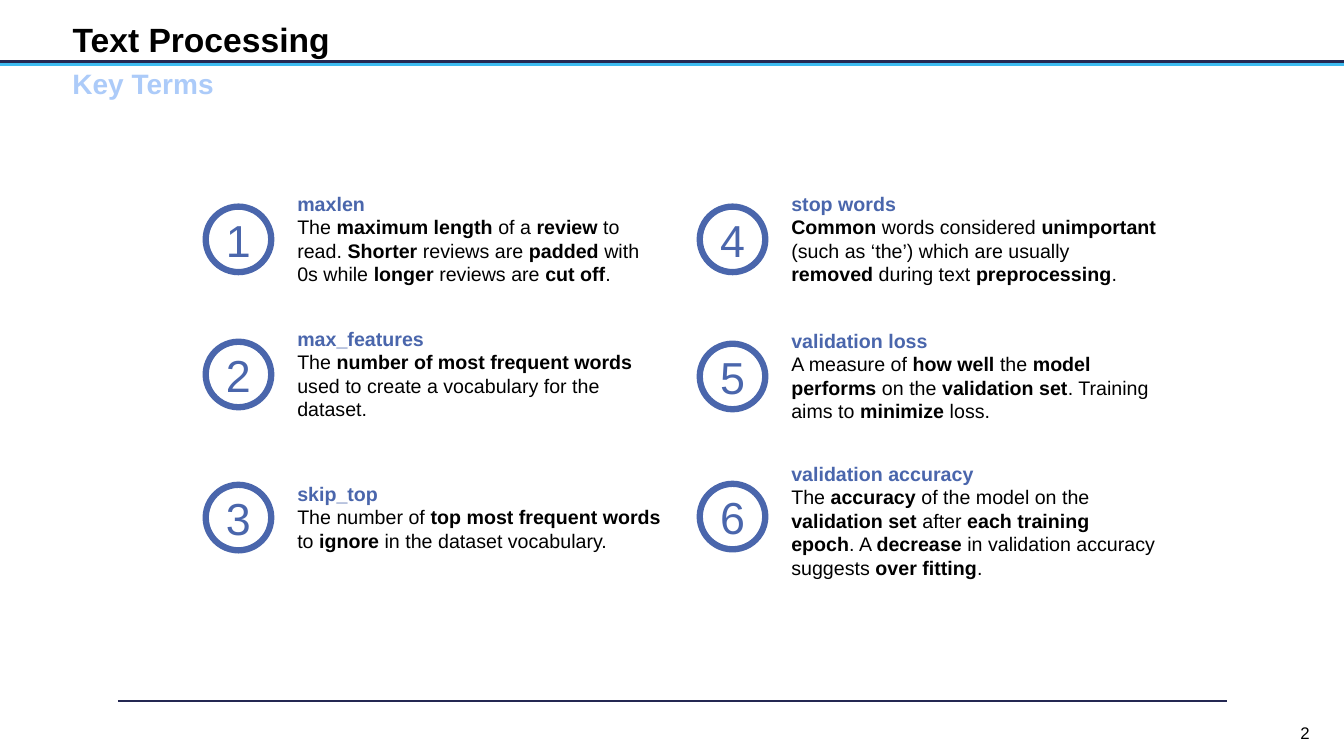
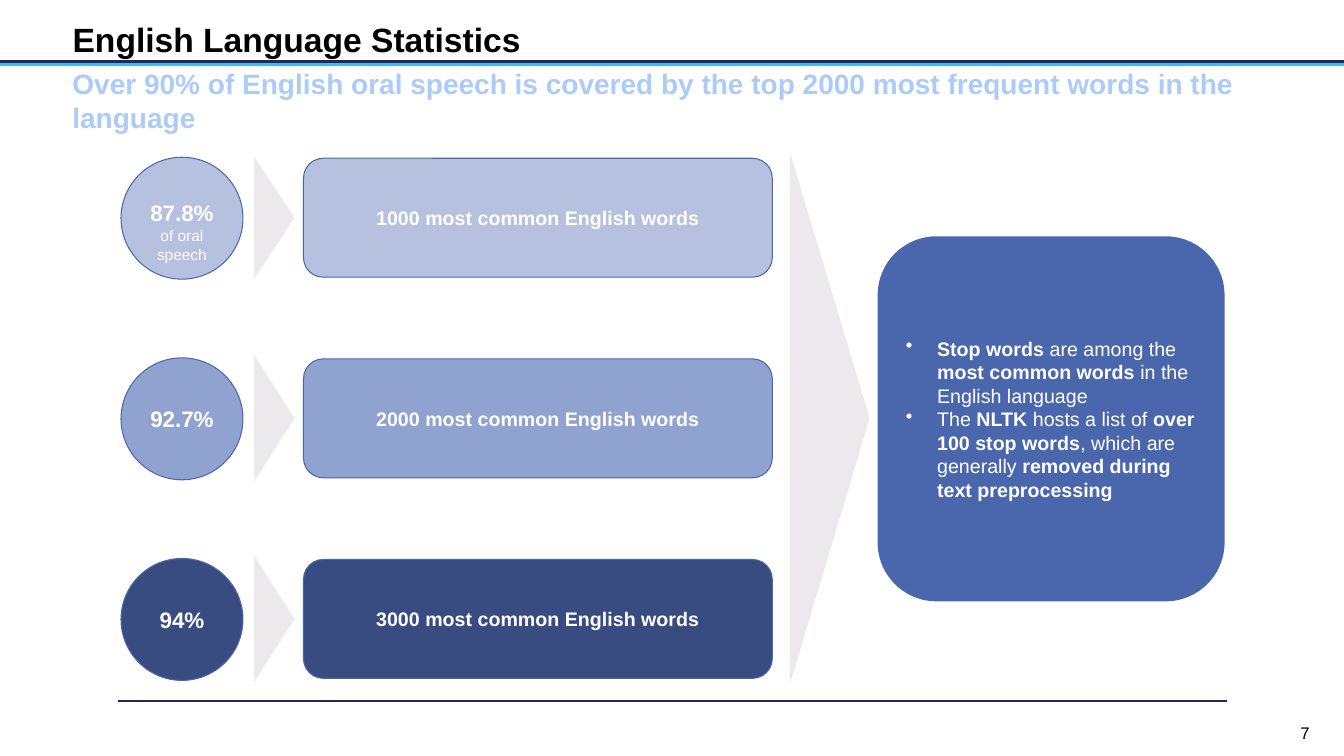
from lxml import etree
from pptx import Presentation
from pptx.dml.color import RGBColor
from pptx.enum import shapes as es, text as et
from pptx.oxml import parse_xml
from pptx.oxml.ns import nsdecls, qn
from pptx.util import Inches, Pt

FONT = "Arial"
BLACK, WHITE = "000000", "FFFFFF"
NAVY, SKY, PALE = "242852", "3EBBF0", "ACCBF9"
BLUE, GREY, ARROW_EDGE = "4A66AC", "EBE9EC", "F2F2F2"
OVAL = es.MSO_SHAPE.OVAL
ROUNDED = es.MSO_SHAPE.ROUNDED_RECTANGLE
LEFT, CENTER = et.PP_ALIGN.LEFT, et.PP_ALIGN.CENTER
TOP, MIDDLE = et.MSO_ANCHOR.TOP, et.MSO_ANCHOR.MIDDLE

TERMS = [
    (2.04, 2.05, 1.8, 1.14, "maxlen",
     "The *maximum length *of a *review* to read. *Shorter* reviews are "
     "*padded* with 0s while *longer* reviews are *cut off*."),
    (2.04, 3.39, 3.14, 1.14, "max_features",
     "The *number of most frequent words *used to create a vocabulary "
     "for the dataset."),
    (2.04, 4.81, 4.68, 0.91, "skip_top",
     "The number of *top most frequent words *to *ignore* in the dataset "
     "vocabulary."),
    (6.94, 2.05, 1.8, 1.14, "stop words",
     "*Common *words considered *unimportant* (such as ‘the’) which are "
     "usually *removed* during text *preprocessing*."),
    (6.94, 3.41, 3.16, 1.14, "validation loss",
     "A measure of *how well *the *model performs* on the *validation set*. "
     "Training aims to *minimize *loss."),
    (6.94, 4.8, 4.48, 1.38, "validation accuracy",
     "The *accuracy* of the model on the *validation set* after *each "
     "training epoch*. A *decrease *in validation accuracy suggests "
     "*over fitting*."),
]

COVERAGE = [
    ("87.8%", "of oral speech", "1000", "B5C1DF", 1.21),
    ("92.7%", "", "2000", "90A2CF", 1.25),
    ("94%", "", "3000", "384C81", 1.25),
]

STOP_WORD_FACTS = [
    "*Stop words *are among the *most common words *in the English language",
    "The *NLTK* hosts a list of *over 100 stop words*, which are generally "
    "*removed during text preprocessing*",
]


def rgb(value):
    return RGBColor.from_string(value)


def box(left, top, width, height):
    return [Inches(n) for n in (left, top, width, height)]


def set_frame(frame, anchor=TOP, inset=0.1):
    frame.word_wrap = True
    frame.auto_size = et.MSO_AUTO_SIZE.NONE
    frame.vertical_anchor = anchor
    frame.margin_top = frame.margin_bottom = Inches(inset)
    frame.margin_left = frame.margin_right = Inches(0.1)


def write(frame, lines, align=LEFT):
    for index, (marked, size, color) in enumerate(lines):
        paragraph = frame.paragraphs[0] if index == 0 else frame.add_paragraph()
        paragraph.alignment = align
        for order, piece in enumerate(marked.split("*")):
            if piece:
                run = paragraph.add_run()
                run.text = piece
                run.font.name = FONT
                run.font.size = Pt(size)
                run.font.bold = order % 2 == 1
                run.font.color.rgb = rgb(color)


def add_text(slide, place, lines, align=LEFT, anchor=TOP, inset=0.1):
    frame = slide.shapes.add_textbox(*box(*place)).text_frame
    set_frame(frame, anchor, inset)
    write(frame, lines, align)
    return frame


def add_figure(slide, kind, place, fill, edge, weight=0.75, lines=(), align=CENTER):
    figure = slide.shapes.add_shape(kind, *box(*place))
    figure.shadow.inherit = False
    figure.fill.solid()
    figure.fill.fore_color.rgb = rgb(fill)
    figure.line.color.rgb = rgb(edge)
    figure.line.width = Pt(weight)
    set_frame(figure.text_frame, MIDDLE)
    write(figure.text_frame, lines, align)
    return figure


def add_arrow(slide, center_x, center_y, base, depth, edge):
    place = (center_x - base / 2, center_y - depth / 2, base, depth)
    arrow = add_figure(slide, es.MSO_SHAPE.ISOSCELES_TRIANGLE, place, GREY, edge)
    arrow.rotation = 90
    return arrow


def add_rule(slide, left, right, y, weight):
    rule = slide.shapes.add_connector(
        es.MSO_CONNECTOR.STRAIGHT, Inches(left), Inches(y), Inches(right), Inches(y))
    rule.line.color.rgb = rgb(NAVY)
    rule.line.width = Pt(weight)
    return etree.SubElement(rule._element.spPr, qn("a:effectLst"))


def add_bullets(frame):
    for paragraph in frame.paragraphs:
        properties = paragraph._p.get_or_add_pPr()
        properties.set("marL", str(Inches(0.31)))
        properties.set("indent", str(-Inches(0.31)))
        bullet = etree.SubElement(properties, qn("a:buChar"))
        bullet.set("char", "•")


def start_slide(deck, heading, subtitle, number):
    slide = deck.slides.add_slide(deck.slide_layouts[5])
    add_rule(slide, 1.17, 12.17, 6.95, 1.5)
    effects = add_rule(slide, 0, 13.33, 0.61, 2.25)
    effects.append(parse_xml(
        f'<a:outerShdw {nsdecls("a")} blurRad="0" dist="{Pt(2)}" dir="5400000" '
        f'algn="t" rotWithShape="0"><a:srgbClr val="{SKY}"/></a:outerShdw>'))
    add_text(slide, (12.56, 7.04, 0.77, 0.46), [(number, 12, BLACK)],
             CENTER, MIDDLE, 0.05)
    title = slide.shapes.title
    title.left, title.top, title.width, title.height = box(0.62, 0.17, 12.1, 0.43)
    set_frame(title.text_frame, MIDDLE, 0.05)
    write(title.text_frame, [(f"*{heading}*", 24, BLACK)])
    lead = add_text(slide, (0.62, 0.61, 12.1, 0.76),
                    [(f"*{subtitle}*", 20, PALE)], inset=0.05)
    lead.paragraphs[0].space_before = Pt(3.8)
    return slide


def build_key_terms(deck):
    slide = start_slide(deck, "Text Processing", "Key Terms", "2")
    for number, (left, badge_top, top, height, term, meaning) in enumerate(TERMS, 1):
        add_figure(slide, OVAL, (left, badge_top, 0.65, 0.65), WHITE, BLUE, 4.5,
                   [(str(number), 32, BLUE)])
        add_text(slide, (left + 0.81, top, 3.82, height),
                 [(f"*{term}*", 14, BLUE), (meaning, 14, BLACK)])


def build_statistics(deck):
    slide = start_slide(
        deck, "English Language Statistics",
        "Over 90% of English oral speech is covered by the top 2000 most "
        "frequent words in the language", "7")
    for row, (share, caption, count, color, base) in enumerate(COVERAGE):
        middle = 2.16 + 1.99 * row
        lines = [(f"*{share}*", 16, WHITE)]
        if caption:
            lines.append((caption, 11, WHITE))
        circle = add_figure(slide, OVAL, (1.2, middle - 0.6, 1.21, 1.21),
                            color, BLUE, lines=lines)
        if caption:
            circle.text_frame.margin_top = Inches(0.36)
        add_arrow(slide, 2.72, middle, base, 0.4, ARROW_EDGE)
        add_figure(slide, ROUNDED, (3.01, middle - 0.59, 4.65, 1.18), color, BLUE,
                   lines=[(f"*{count} most common English words*", 14, WHITE)])
    funnel = add_arrow(slide, 8.23, 4.15, 5.2, 0.78, GREY)
    funnel.adjustments[0] = 0.5
    summary = add_figure(slide, ROUNDED, (8.72, 2.36, 3.41, 3.59), BLUE, BLUE, 2.25,
                         [(fact, 14, WHITE) for fact in STOP_WORD_FACTS], LEFT)
    add_bullets(summary.text_frame)


def main():
    deck = Presentation()
    deck.slide_width, deck.slide_height = Inches(13.33), Inches(7.5)
    build_key_terms(deck)
    build_statistics(deck)
    deck.save("out.pptx")


if __name__ == "__main__":
    main()
